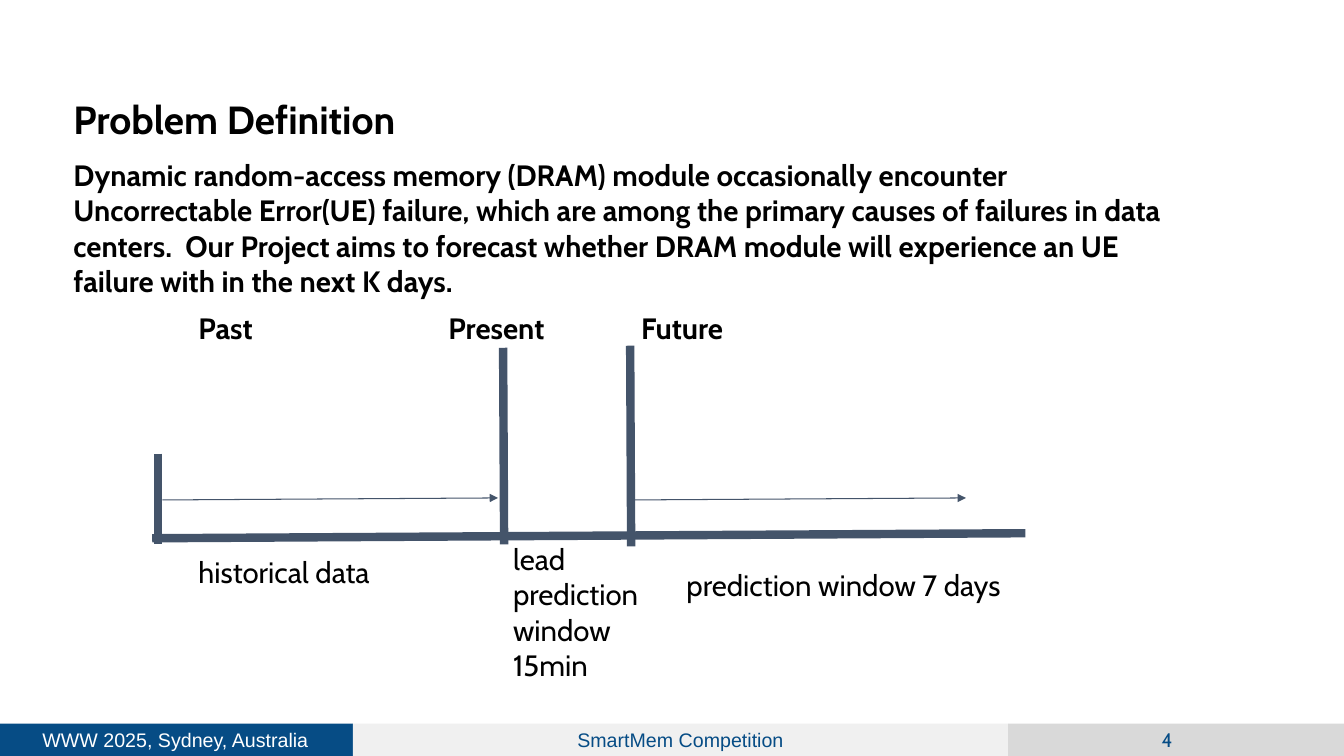
from lxml.etree import SubElement
from pptx import Presentation
from pptx.dml.color import RGBColor
from pptx.enum.shapes import MSO_CONNECTOR, MSO_SHAPE
from pptx.enum.text import MSO_ANCHOR, PP_ALIGN
from pptx.oxml.ns import qn
from pptx.util import Pt

PX = 9144
NAVY, SLATE, BLACK, WHITE = "064C85", "44546A", "000000", "FFFFFF"


def color(code):
    return RGBColor.from_string(code)


def write(box, lines, size, font, ink, bold=False, inset=10, center=False, wrap=True):
    frame = slide.shapes.add_textbox(*[n * PX for n in box]).text_frame
    frame.word_wrap = wrap
    frame.margin_left = frame.margin_right = inset * PX
    frame.margin_top = frame.margin_bottom = inset * PX
    frame.vertical_anchor = MSO_ANCHOR.MIDDLE if center else MSO_ANCHOR.TOP
    for i, line in enumerate(lines):
        para = frame.paragraphs[0] if i == 0 else frame.add_paragraph()
        para.alignment = PP_ALIGN.CENTER if center else PP_ALIGN.LEFT
        run = para.add_run()
        run.text = line
        run.font.size = Pt(size)
        run.font.name = font
        run.font.bold = bold
        run.font.color.rgb = color(ink)


deck = Presentation()
deck.slide_width, deck.slide_height = 1333 * PX, 750 * PX
slide = deck.slides.add_slide(deck.slide_layouts[6])

for left, width, fill in [(0, 350, NAVY), (350, 650, "F0F0F0"), (1000, 333, "D9D9D9")]:
    band = slide.shapes.add_shape(
        MSO_SHAPE.RECTANGLE, left * PX, 718 * PX, width * PX, 32 * PX)
    band.shadow.inherit = False
    band.fill.solid()
    band.fill.fore_color.rgb = color(fill)
    band.line.fill.background()

write((355, 718, 640, 32), ["SmartMem Competition"], 14, "Arial", NAVY, inset=5, center=True)
write((28, 719, 292, 29), ["WWW 2025, Sydney, Australia"], 14, "Arial", WHITE, inset=4, center=True)
write((1148, 719, 19, 30), ["4"], 14, "Cabin", NAVY, inset=4, center=True, wrap=False)

write((63, 85, 1206, 64), ["Problem Definition"], 28, "Cabin", BLACK, bold=True)
write((63, 146, 1124, 194), [
    "Dynamic random-access memory (DRAM) module occasionally encounter "
    "Uncorrectable Error(UE) failure, which are among the primary causes of "
    "failures in data centers.  Our Project aims to forecast whether DRAM "
    "module will experience an UE failure with in the next K days."
], 21, "Cabin", BLACK, bold=True)

axis = (151, 534, 1017, 529)
ticks = [(157, 450, 157, 540), (499, 345, 500, 540), (625, 343, 626, 542)]
spans = [(left, 496, left + 333, 494) for left in (161, 625)]
for ends in [axis, *ticks, *spans]:
    line = slide.shapes.add_connector(MSO_CONNECTOR.STRAIGHT, *[n * PX for n in ends])
    line.line.color.rgb = color(SLATE)
    line.line.width = Pt(0.75 if ends in spans else 6)
    if ends in spans:
        SubElement(line.line._get_or_add_ln(), qn("a:tailEnd"), type="triangle")
    SubElement(line._element.spPr, qn("a:effectLst"))

for left, label in [(187, "Past"), (435, "Present"), (626, "Future")]:
    write((left, 298, 236, 55), [label], 21, "Cabin", BLACK, bold=True)

for box, lines in [
    ((187, 540, 409, 55), ["historical data"]),
    ((499, 527, 374, 159), ["lead", "prediction", "window", "15min"]),
    ((671, 553, 409, 55), ["prediction window 7 days"]),
]:
    write(box, lines, 21, "Cabin", BLACK)

deck.save("out.pptx")
